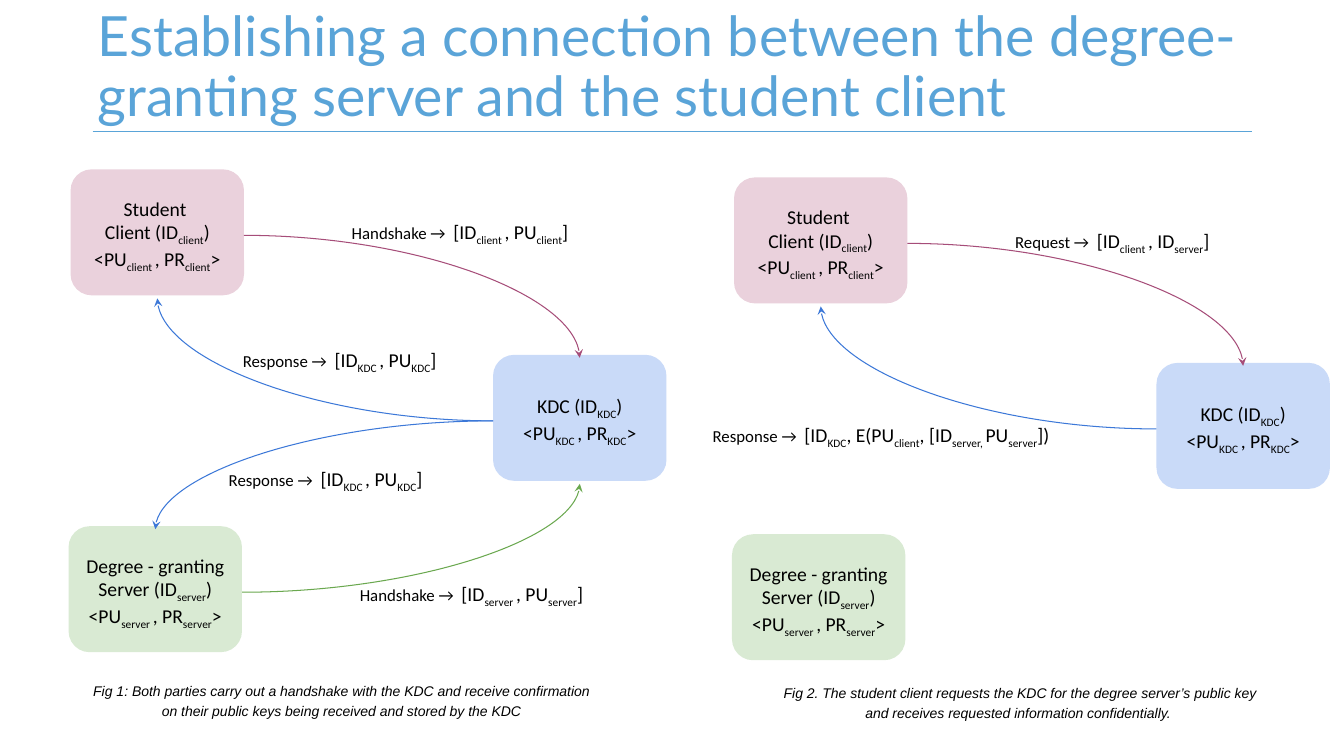
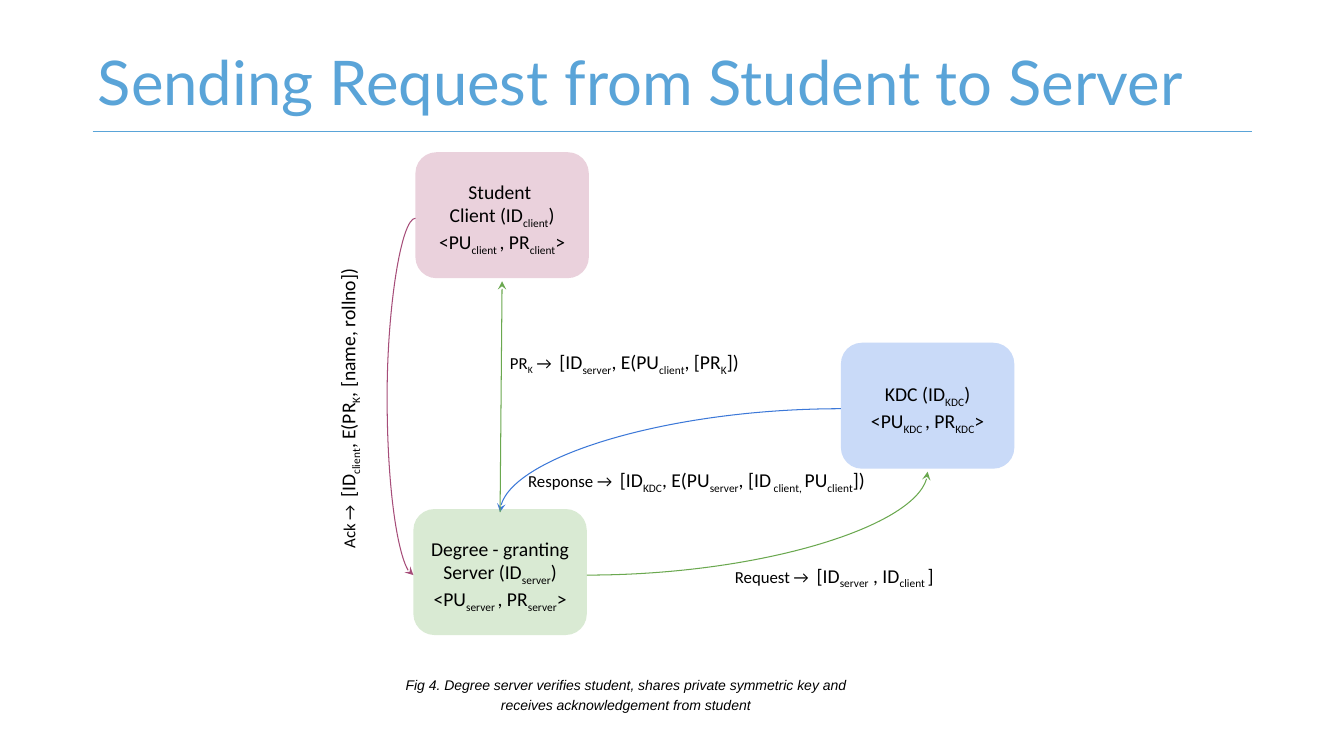
from dataclasses import dataclass

from lxml import etree
from pptx import Presentation
from pptx import util as u
from pptx.dml.color import RGBColor
from pptx.enum import shapes, text
from pptx.oxml import ns


@dataclass(frozen=True)
class Theme:
    accent: str = "5AA4D8"
    ink: str = "000000"
    client_fill: str = "EAD1DC"
    server_fill: str = "D9EAD3"
    kdc_fill: str = "C9DAF8"
    client_line: str = "A64D79"
    server_line: str = "6AA84F"
    kdc_line: str = "3C78D8"
    title_font: str = "Lato"
    body_font: str = "Calibri"
    caption_font: str = "Arial"
    body_size: float = 14
    lead_size: float = 12
    caption_size: float = 10
    line_width: float = 0.75


THEME = Theme()
NODE_W, NODE_H = 1.72, 1.25
PORT_SHIFT = 0.03  # arrows meet the nodes slightly below their edges

CLIENT_TEXT = ["Student ", "Client (ID~client~)", "<PU~client ~, PR~client~>"]
SERVER_TEXT = ["Degree - granting", "Server (ID~server~)", "<PU~server ~, PR~server~>"]
KDC_TEXT = ["KDC (ID~KDC~)", "<PU~KDC ~, PR~KDC~>"]


# Text
def add_runs(paragraph, marked, size, font=THEME.body_font, color=THEME.ink, italic=False):
    """Add runs; parts between tildes become subscripts."""
    for index, part in enumerate(marked.split("~")):
        if not part:
            continue
        run = paragraph.add_run()
        run.text = part
        run.font.size = u.Pt(size)
        run.font.name = font
        run.font.color.rgb = RGBColor.from_string(color)
        if italic:
            run.font.italic = True
        if index % 2:
            run._r.get_or_add_rPr().set("baseline", "-25000")


def set_margins(frame, left, top, right, bottom):
    frame.margin_left, frame.margin_top = u.Inches(left), u.Inches(top)
    frame.margin_right, frame.margin_bottom = u.Inches(right), u.Inches(bottom)


def add_text_box(slide, left, top, width, height):
    box = slide.shapes.add_textbox(*map(u.Inches, (left, top, width, height)))
    box.text_frame.word_wrap = True
    set_margins(box.text_frame, 0.1, 0.1, 0.1, 0.1)
    return box


def add_label(slide, left, top, width, lead, message, rotation=0):
    label = add_text_box(slide, left, top, width, 0.44)
    label.rotation = rotation
    paragraph = label.text_frame.paragraphs[0]
    add_runs(paragraph, lead + " →  ", THEME.lead_size)
    add_runs(paragraph, message, THEME.body_size)


def add_caption(slide, left, top, width, wording, indent=0):
    frame = add_text_box(slide, left, top, width, 0.56).text_frame
    frame.margin_left = u.Inches(0.1 + indent)
    paragraph = frame.paragraphs[0]
    paragraph.alignment = text.PP_ALIGN.CENTER
    paragraph.line_spacing = 1.15
    add_runs(paragraph, wording, THEME.caption_size, THEME.caption_font, italic=True)


# Lines and arrows
def add_line(slide, start, end, color, kind=shapes.MSO_CONNECTOR.STRAIGHT, arrow=None):
    line = slide.shapes.add_connector(kind, *map(u.Inches, (*start, *end)))
    line.line.color.rgb = RGBColor.from_string(color)
    line.line.width = u.Pt(THEME.line_width)
    properties = line._element.spPr
    if arrow:
        outline = properties.find(ns.qn("a:ln"))
        etree.SubElement(outline, ns.qn("a:" + arrow), type="stealth")
    etree.SubElement(properties, ns.qn("a:effectLst"))
    return line


def add_curve(slide, start, end, color, preset="curvedConnector2", bend=None, arrow="tailEnd"):
    """Leave start horizontally; upward curves use a half turn instead of a vertical flip."""
    curve = add_line(slide, start, end, color, shapes.MSO_CONNECTOR.CURVE, arrow)
    frame = curve._element.spPr.find(ns.qn("a:xfrm"))
    if end[1] < start[1]:
        frame.attrib.pop("flipV", None)
        frame.set("rot", "10800000")
        if frame.attrib.pop("flipH", None) is None:
            frame.set("flipH", "1")
    geometry = curve._element.spPr.find(ns.qn("a:prstGeom"))
    geometry.set("prst", preset)
    if bend is not None:
        guides = geometry.find(ns.qn("a:avLst"))
        etree.SubElement(guides, ns.qn("a:gd"), name="adj1", fmla=f"val {bend}")


# Nodes
@dataclass(frozen=True)
class Node:
    left: float
    top: float

    def port(self, side):
        across = {"left": 0, "right": NODE_W}.get(side, NODE_W / 2)
        down = {"top": 0, "bottom": NODE_H}.get(side, NODE_H / 2)
        return self.left + across, self.top + PORT_SHIFT + down


def add_node(slide, left, top, fill, lines):
    node = slide.shapes.add_shape(
        shapes.MSO_SHAPE.ROUNDED_RECTANGLE, *map(u.Inches, (left, top, NODE_W, NODE_H)))
    node.adjustments[0] = 0.167
    node.shadow.inherit = False
    node.fill.solid()
    node.fill.fore_color.rgb = RGBColor.from_string(fill)
    node.line.fill.background()
    frame = node.text_frame
    frame.word_wrap = True
    frame.vertical_anchor = text.MSO_ANCHOR.MIDDLE
    set_margins(frame, 0.04, 0.04 + 2 * PORT_SHIFT, 0.04, 0.04)
    for index, line in enumerate(lines):
        paragraph = frame.add_paragraph() if index else frame.paragraphs[0]
        paragraph.alignment = text.PP_ALIGN.CENTER
        add_runs(paragraph, line, THEME.body_size)
    return Node(left, top)


def add_parties(slide, left, top, kdc_right=4.19, kdc_down=1.84):
    client = add_node(slide, left, top, THEME.client_fill, CLIENT_TEXT)
    server = add_node(slide, left - 0.02, top + 3.54, THEME.server_fill, SERVER_TEXT)
    kdc = add_node(slide, left + kdc_right, top + kdc_down, THEME.kdc_fill, KDC_TEXT)
    return client, server, kdc


# Figures, each placed from the top left of its client node
def handshake_figure(slide, left, top):
    client, server, kdc = add_parties(slide, left, top)
    add_curve(slide, client.port("right"), kdc.port("top"), THEME.client_line)
    add_curve(slide, kdc.port("left"), client.port("bottom"), THEME.kdc_line)
    add_curve(slide, kdc.port("left"), server.port("top"), THEME.kdc_line)
    add_curve(slide, server.port("right"), kdc.port("bottom"), THEME.server_line)
    for right, down, width, lead, message in (
        (2.69, 0.4, 2.52, "Handshake", "[ID~client ~, PU~client~]"),
        (1.61, 1.67, 2.19, "Response", "[ID~KDC ~, PU~KDC~]"),
        (1.47, 2.85, 2.19, "Response", "[ID~KDC ~, PU~KDC~]"),
        (2.77, 3.99, 2.52, "Handshake", "[ID~server ~, PU~server~]"),
    ):
        add_label(slide, left + right, top + down, width, lead, message)
    add_caption(slide, left + 0.04, top + 4.97, 5.29,
                "Fig 1: Both parties carry out a handshake with the KDC and receive "
                "confirmation on their public keys being received and stored by the KDC")


def key_request_figure(slide, left, top):
    client, _, kdc = add_parties(slide, left, top)
    add_curve(slide, client.port("right"), kdc.port("top"), THEME.client_line)
    add_curve(slide, kdc.port("left"), client.port("bottom"), THEME.kdc_line)
    add_label(slide, left + 2.69, top + 0.41, 2.36, "Request", "[ID~client ~, ID~server~]")
    add_label(slide, left - 0.31, top + 2.34, 3.6, "Response",
              "[ID~KDC~, E(PU~client~, [ID~server, ~PU~server~])")
    add_caption(slide, left + 0.33, top + 4.91, 5.01,
                "Fig 2. The student client requests the KDC for the degree server’s "
                "public key and receives requested information confidentially. ")


def verification_figure(slide, left, top):
    client, server, kdc = add_parties(slide, left, top, kdc_right=4.22, kdc_down=1.89)
    add_curve(slide, kdc.port("left"), server.port("top"), THEME.kdc_line)
    add_curve(slide, server.port("right"), kdc.port("bottom"), THEME.server_line)
    add_line(slide, server.port("top"), client.port("bottom"), THEME.server_line,
             arrow="tailEnd")
    add_curve(slide, server.port("left"), client.port("left"), THEME.client_line,
              "curvedConnector3", bend=-1300000, arrow="headEnd")
    for right, down, width, lead, message, rotation in (
        (3.07, 3.98, 2.42, "Request", "[ID~server~ , ID~client ~]", 0),
        (1.02, 3.03, 4.06, "Response",
         "[ID~KDC~, E(PU~server~, [ID~ client, ~PU~client~])", 0),
        (0.84, 1.86, 2.57, "PR~K~", "[ID~server~, E(PU~client~, [PR~K~])", 0),
        (-2.44, 2.04, 3.54, "Ack", "[ID~client~, E(PR~K~, [name, rollno])", 270),
    ):
        add_label(slide, left + right, top + down, width, lead, message, rotation)
    add_caption(slide, left - 0.96, top + 5.08, 5.59,
                "Fig 4. Degree server verifies student, shares private symmetric key "
                "and receives acknowledgement from student", indent=0.5)


# Slides
def add_titled_slide(deck, layout, wording, top, size):
    slide = deck.slides.add_slide(layout)
    title = slide.shapes.title
    title.left, title.top = u.Inches(0.92), u.Inches(top)
    title.width, title.height = u.Inches(11.5), u.Inches(0.9)
    frame = title.text_frame
    frame.word_wrap = True
    frame.auto_size = text.MSO_AUTO_SIZE.NONE
    frame.vertical_anchor = text.MSO_ANCHOR.MIDDLE
    set_margins(frame, 0.05, 0.05, 0.05, 0.05)
    paragraph = frame.paragraphs[0]
    paragraph.alignment = text.PP_ALIGN.LEFT
    paragraph.line_spacing = 0.9
    add_runs(paragraph, wording, size, THEME.title_font, THEME.accent)
    return slide


def connection_slide(deck, layout):
    slide = add_titled_slide(
        deck, layout, "Establishing a connection between the degree-granting server "
        "and the student client", top=0.23, size=39.6)
    handshake_figure(slide, 0.7, 1.68)
    key_request_figure(slide, 7.28, 1.76)
    return slide


def request_slide(deck, layout):
    slide = add_titled_slide(
        deck, layout, "Sending Request from Student to Server", top=0.4, size=44)
    verification_figure(slide, 4.12, 1.51)


def main():
    deck = Presentation()
    deck.slide_width, deck.slide_height = u.Inches(13.33), u.Inches(7.5)
    title_only = deck.slide_layouts[5]
    first = connection_slide(deck, title_only)
    request_slide(deck, title_only)
    # The rule under the title belongs to the shared layout
    title_rule = add_line(first, (0.92, 1.3), (12.42, 1.3), THEME.accent)
    title_only.shapes._spTree.append(title_rule._element)
    deck.save("out.pptx")


main()
